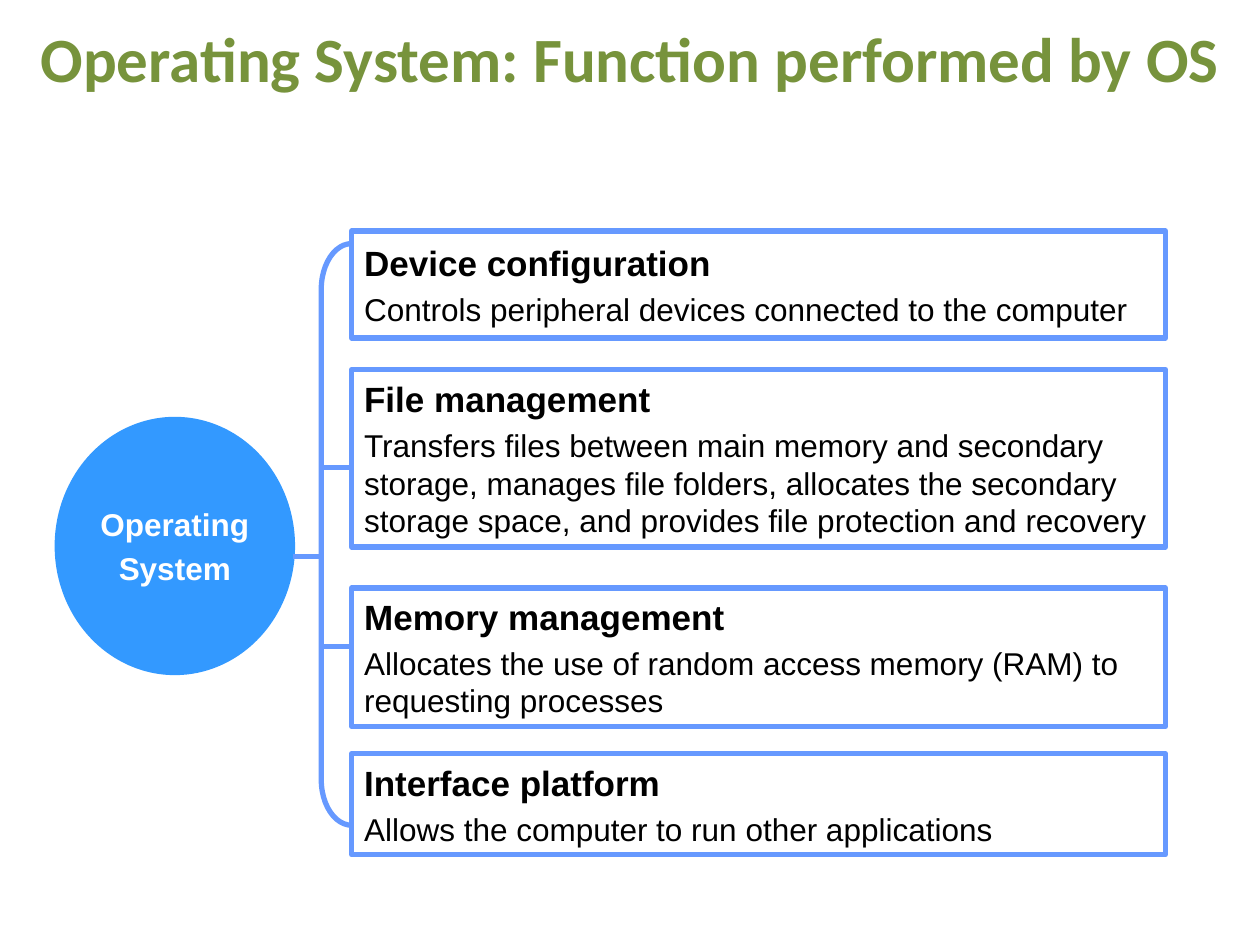
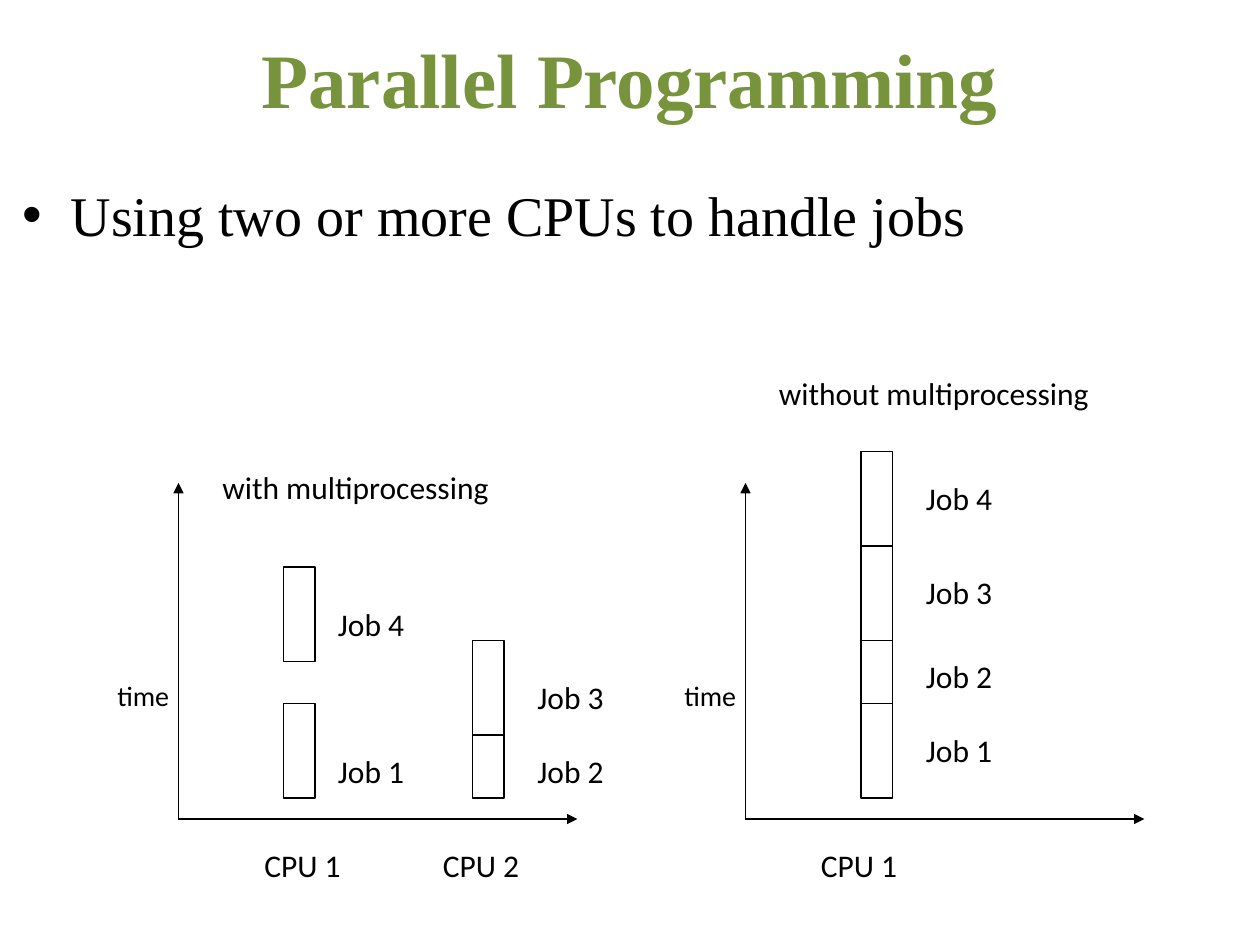
import collections

import lxml.etree
import pptx
import pptx.dml.color
import pptx.enum.shapes
import pptx.enum.text
import pptx.oxml.ns
import pptx.util

SHAPE = pptx.enum.shapes.MSO_SHAPE
ALIGN = pptx.enum.text.PP_ALIGN
ANCHOR = pptx.enum.text.MSO_ANCHOR
qn = pptx.oxml.ns.qn

COLUMNS, ROWS = 120, 90
CELL = pptx.util.Inches(10) / COLUMNS

BLACK, WHITE = "000000", "FFFFFF"
TITLE_GREEN, CIRCLE_BLUE, LINE_BLUE = "77933C", "3399FF", "6699FF"

Box = collections.namedtuple("Box", "left top width height")
Cpu = collections.namedtuple("Cpu", "name name_column bar_column label_column jobs")
Job = collections.namedtuple("Job", "name bottom height label_top")

FUNCTIONS = [  # heading, description, top row, rows, wraps
    ("Device configuration",
     "Controls peripheral devices connected to the computer", 0, 10.2, False),
    ("File management",
     "Transfers files between main memory and secondary storage, manages file "
     "folders, allocates the secondary storage space, and provides file "
     "protection and recovery", 13.2, 16.9, True),
    ("Memory management",
     "Allocates the use of random access memory (RAM) to requesting processes",
     34, 13.2, True),
    ("Interface platform",
     "Allows the computer to run other applications", 49.8, 9.6, True),
]

# Columns count right and rows count up from the corner of the axes.
WITH_MULTIPROCESSING = [
    Cpu("CPU 1", 7, 10, 14, [Job("Job 1", 2, 9, 7), Job("Job 4", 15, 9, 21)]),
    Cpu("CPU 2", 24, 28, 33, [Job("Job 2", 2, 6, 7), Job("Job 3", 8, 9, 14)]),
]
WITHOUT_MULTIPROCESSING = [
    Cpu("CPU 1", 6, 11, 16, [
        Job("Job 1", 2, 9, 9), Job("Job 2", 11, 6, 16),
        Job("Job 3", 17, 9, 24), Job("Job 4", 26, 9, 33)]),
]


def cells(*counts):
    """Convert counts of grid cells to lengths."""
    return [round(count * CELL) for count in counts]


def color(hex_string):
    return pptx.dml.color.RGBColor.from_string(hex_string)


def format_paragraph(paragraph, size, font, ink=BLACK, bold=False, align=ALIGN.LEFT):
    paragraph.alignment = align
    for run in paragraph.runs:
        run.font.size = pptx.util.Pt(size)
        run.font.name = font
        run.font.bold = bold
        run.font.color.rgb = color(ink)


def add_text(slide, box, text, size, font, anchor=ANCHOR.TOP, **style):
    text_frame = slide.shapes.add_textbox(*cells(*box)).text_frame
    text_frame.word_wrap = True
    text_frame.vertical_anchor = anchor
    text_frame.text = text
    format_paragraph(text_frame.paragraphs[0], size, font, **style)
    return text_frame


def add_title(slide, box, text, size, font):
    add_text(slide, box, text, size, font, anchor=ANCHOR.MIDDLE,
             ink=TITLE_GREEN, bold=True, align=ALIGN.CENTER)


def add_figure(slide, kind, box, fill=None, line=None, weight=3):
    shape = slide.shapes.add_shape(kind, *cells(*box))
    shape.shadow.inherit = False
    if fill:
        shape.fill.solid()
        shape.fill.fore_color.rgb = color(fill)
    else:
        shape.fill.background()
    if line:
        shape.line.color.rgb = color(line)
        shape.line.width = pptx.util.Pt(weight)
    else:
        shape.line.fill.background()
    return shape


def add_line(slide, start, end, ink, weight, arrow=False):
    connector = slide.shapes.add_connector(
        pptx.enum.shapes.MSO_CONNECTOR.STRAIGHT, *cells(*start, *end))
    connector.line.color.rgb = color(ink)
    connector.line.width = pptx.util.Pt(weight)
    properties = connector.element.spPr
    if arrow:
        lxml.etree.SubElement(properties.find(qn("a:ln")), qn("a:tailEnd"), type="triangle")
    lxml.etree.SubElement(properties, qn("a:effectLst"))


def fill_two_lines(shape, lines, sizes, wrap, **style):
    """Write a bold first line and a second one, set apart by a fifth of its size."""
    text_frame = shape.text_frame
    text_frame.word_wrap = wrap
    text_frame.vertical_anchor = ANCHOR.MIDDLE
    text_frame.text = "\n".join(lines)
    first, second = text_frame.paragraphs
    bold_second = style.pop("bold_second", False)
    format_paragraph(first, sizes[0], "Arial", bold=True, **style)
    format_paragraph(second, sizes[1], "Arial", bold=bold_second, **style)
    second.space_before = pptx.util.Pt(sizes[1] / 5)


def add_function_tree(slide, box):
    """Draw the circle, the cards and the bracket that joins them."""
    card_left, bracket_left, circle_right = 28.3, 25.4, 22.7
    circle = add_figure(slide, SHAPE.OVAL,
                        Box(box.left, box.top + 17.7, 22.9, 24.6), CIRCLE_BLUE)
    fill_two_lines(circle, ["Operating", "System"], (18, 18), False,
                   ink=WHITE, align=ALIGN.CENTER, bold_second=True)
    for heading, description, row, height, wrap in FUNCTIONS:
        card = add_figure(
            slide, SHAPE.RECTANGLE,
            Box(box.left + card_left, box.top + row, box.width - card_left, height),
            WHITE, LINE_BLUE)
        fill_two_lines(card, [heading, description], (20, 18), wrap)

    bracket = add_figure(
        slide, SHAPE.LEFT_BRACKET,
        Box(box.left + bracket_left, box.top + 1.2, card_left - bracket_left, 55.4),
        line=LINE_BLUE)
    bracket.adjustments[0] = 1.5
    for start, end, row in [(bracket_left, card_left, 22.5),
                            (bracket_left, card_left, 39.6),
                            (circle_right, bracket_left, 31)]:
        add_line(slide, (box.left + start, box.top + row),
                 (box.left + end, box.top + row), LINE_BLUE, 3)


def add_bullet(slide, box, text):
    text_frame = add_text(slide, box, text, 32, "Times New Roman")
    properties = text_frame.paragraphs[0]._p.get_or_add_pPr()
    indent = pptx.util.Inches(0.38)
    properties.set("marL", str(indent))
    properties.set("indent", str(-indent))
    lxml.etree.SubElement(properties, qn("a:buFont"), typeface="Arial")
    lxml.etree.SubElement(properties, qn("a:buChar"), char="•")


def add_timeline(slide, box, cpus, caption, caption_box):
    """Draw axes along the left and bottom of the box, with the jobs of each CPU."""
    base = box.top + box.height

    def place(column, row, width, height):
        return Box(box.left + column, base - row, width, height)

    def label(area, text, size=18):
        add_text(slide, place(*area), text, size, "Calibri")

    for cpu in cpus:
        for job in cpu.jobs:
            add_figure(slide, SHAPE.RECTANGLE,
                       place(cpu.bar_column, job.bottom + job.height, 3, job.height),
                       line=BLACK, weight=0.75)
            label((cpu.label_column, job.label_top, 9, 4.8), job.name)
        label((cpu.name_column, -2, 14, 6), cpu.name)
    for tip in [(box.left, box.top), (box.left + box.width, base)]:
        add_line(slide, (box.left, base), tip, BLACK, 0.75, arrow=True)
    label((-7, 14, 8, 4.4), "time", 16)
    label(caption_box, caption)


def build_functions_slide(slide):
    add_title(slide, Box(0, 0.5, COLUMNS, 10),
              "Operating System: Function performed by OS", 36, "Calibri")
    add_function_tree(slide, Box(5.2, 22, 105.8, 59.4))


def build_parallel_slide(slide):
    add_title(slide, Box(0, -0.1, COLUMNS, 15), "Parallel Programming", 44, "Times New Roman")
    add_bullet(slide, Box(1, 16.6, 102, 18), "Using two or more CPUs to handle jobs")
    add_timeline(slide, Box(17, 46, 38, 32), WITH_MULTIPROCESSING,
                 "with multiprocessing", (3, 34, 39, 4.8))
    add_timeline(slide, Box(71, 46, 38, 32), WITHOUT_MULTIPROCESSING,
                 "without multiprocessing", (2, 43, 32, 4.8))


def main():
    presentation = pptx.Presentation()
    presentation.slide_width, presentation.slide_height = cells(COLUMNS, ROWS)
    blank = presentation.slide_layouts[6]
    for build in (build_functions_slide, build_parallel_slide):
        build(presentation.slides.add_slide(blank))
    presentation.save("out.pptx")


if __name__ == "__main__":
    main()
